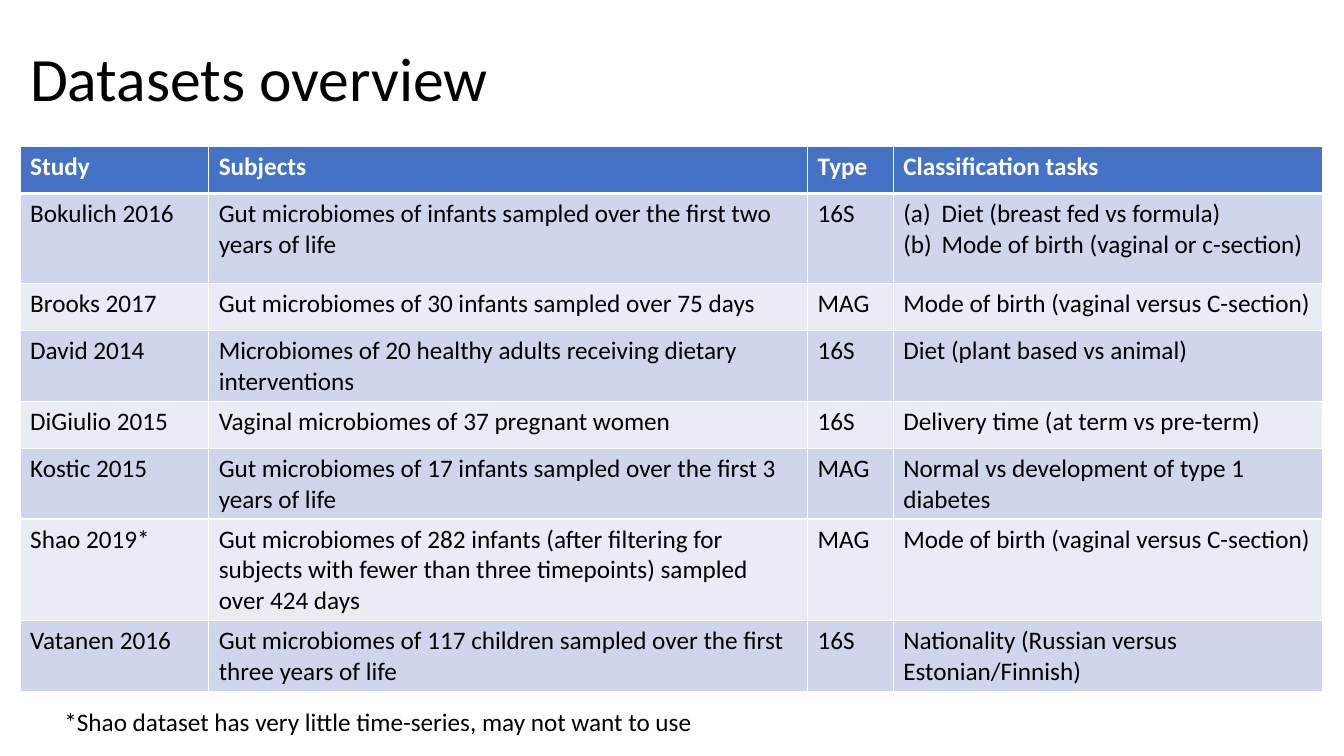
from dataclasses import dataclass

from lxml.etree import SubElement
from pptx import Presentation
from pptx.dml.color import RGBColor
from pptx.enum.text import MSO_ANCHOR
from pptx.oxml.ns import qn
from pptx.slide import Slide
from pptx.table import _Cell
from pptx.text.text import _Paragraph
from pptx.util import Emu, Pt

PX = 9144
FONT = "Calibri"
BLACK = RGBColor(0x00, 0x00, 0x00)
WHITE = RGBColor(0xFF, 0xFF, 0xFF)
HEADER_BLUE = RGBColor(0x44, 0x72, 0xC4)
BAND_DARK = RGBColor(0xCF, 0xD5, 0xEA)
BAND_LIGHT = RGBColor(0xE9, 0xEB, 0xF5)

COLUMN_WIDTHS = (187, 594, 85, 426)
LIST_INDENT = 38
THIN, THICK = Pt(1), Pt(3)


@dataclass(frozen=True)
class Dataset:
    study: str
    subjects: str
    kind: str
    tasks: tuple[str, ...]
    height: int = 47


@dataclass(frozen=True)
class Label:
    text: str
    left: int
    top: int
    width: int
    height: int
    size: int
    anchor: MSO_ANCHOR = MSO_ANCHOR.TOP
    line_spacing: float = 1.0


HEADER = Dataset("Study", "Subjects", "Type", ("Classification tasks",))
DATASETS = (
    Dataset("Bokulich 2016",
            "Gut microbiomes of infants sampled over the first two years of life",
            "16S",
            ("Diet (breast fed vs formula)", "Mode of birth (vaginal or c-section)"), 89),
    Dataset("Brooks 2017", "Gut microbiomes of 30 infants sampled over 75 days",
            "MAG", ("Mode of birth (vaginal versus C-section)",)),
    Dataset("David 2014",
            "Microbiomes of 20 healthy adults receiving dietary interventions",
            "16S", ("Diet (plant based vs animal)",), 70),
    Dataset("DiGiulio 2015", "Vaginal microbiomes of 37 pregnant women",
            "16S", ("Delivery time (at term vs pre-term)",)),
    Dataset("Kostic 2015",
            "Gut microbiomes of 17 infants sampled over the first 3 years of life",
            "MAG", ("Normal vs development of type 1 diabetes",), 70),
    Dataset("Shao 2019*",
            "Gut microbiomes of 282 infants (after filtering for subjects with fewer "
            "than three timepoints) sampled over 424 days",
            "MAG", ("Mode of birth (vaginal versus C-section)",), 101),
    Dataset("Vatanen 2016",
            "Gut microbiomes of 117 children sampled over the first three years of life",
            "16S", ("Nationality (Russian versus Estonian/Finnish)",), 70),
)
LABELS = (
    Label("Datasets overview", 20, 17, 1150, 128, 44, MSO_ANCHOR.MIDDLE, 0.9),
    Label("*Shao dataset has very little time-series, may not want to use",
          54, 696, 826, 40, 18),
)


def px(length: int) -> Emu:
    """Convert px to EMU."""
    return Emu(length * PX)


def add_text(paragraph: _Paragraph, text: str, size: int, color: RGBColor,
             bold: bool = False) -> None:
    """Add one formatted run to a paragraph."""
    run = paragraph.add_run()
    run.text = text
    run.font.name = FONT
    run.font.size = Pt(size)
    run.font.bold = bold
    run.font.color.rgb = color


def add_label(slide: Slide, label: Label) -> None:
    """Add a wrapped text box."""
    shape = slide.shapes.add_textbox(
        px(label.left), px(label.top), px(label.width), px(label.height))
    frame = shape.text_frame
    frame.word_wrap = True
    frame.vertical_anchor = label.anchor
    paragraph = frame.paragraphs[0]
    paragraph.line_spacing = label.line_spacing
    add_text(paragraph, label.text, label.size, BLACK)


def letter_item(paragraph: _Paragraph) -> None:
    """Number a paragraph as (a), (b) with a hanging indent."""
    properties = paragraph._p.get_or_add_pPr()
    properties.set("marL", str(px(LIST_INDENT)))
    properties.set("indent", str(px(-LIST_INDENT)))
    SubElement(properties, qn("a:buFont"), typeface="+mj-lt")
    SubElement(properties, qn("a:buAutoNum"), type="alphaLcParenBoth")


def set_borders(cell: _Cell, top: int, bottom: int) -> None:
    """Draw white borders around a cell, ahead of its fill."""
    properties = cell._tc.get_or_add_tcPr()
    widths = {"a:lnL": THIN, "a:lnR": THIN, "a:lnT": top, "a:lnB": bottom}
    for position, (tag, width) in enumerate(widths.items()):
        line = SubElement(properties, qn(tag), w=str(width))
        fill = SubElement(line, qn("a:solidFill"))
        SubElement(fill, qn("a:srgbClr"), val=str(WHITE))
        properties.insert(position, line)


def fill_cell(cell: _Cell, lines: tuple[str, ...], row_index: int) -> None:
    """Write and style one table cell."""
    is_header = row_index == 0
    band = BAND_DARK if row_index % 2 else BAND_LIGHT
    cell.fill.solid()
    cell.fill.fore_color.rgb = HEADER_BLUE if is_header else band
    set_borders(cell, THICK if row_index == 1 else THIN, THICK if is_header else THIN)
    frame = cell.text_frame
    for index, line in enumerate(lines):
        paragraph = frame.add_paragraph() if index else frame.paragraphs[0]
        if len(lines) > 1:
            letter_item(paragraph)
        add_text(paragraph, line, 18, WHITE if is_header else BLACK, is_header)


def add_dataset_table(slide: Slide) -> None:
    """Add the table of studies."""
    rows = (HEADER, *DATASETS)
    table = slide.shapes.add_table(
        len(rows), len(COLUMN_WIDTHS), px(20), px(145),
        px(sum(COLUMN_WIDTHS)), px(sum(row.height for row in rows))).table
    for column, width in zip(table.columns, COLUMN_WIDTHS):
        column.width = px(width)
    for row_index, row in enumerate(rows):
        table.rows[row_index].height = px(row.height)
        contents = ((row.study,), (row.subjects,), (row.kind,), row.tasks)
        for column_index, lines in enumerate(contents):
            fill_cell(table.cell(row_index, column_index), lines, row_index)


def main() -> None:
    """Build and save the slide."""
    presentation = Presentation()
    presentation.slide_width = px(1333)
    presentation.slide_height = px(750)
    slide = presentation.slides.add_slide(presentation.slide_layouts[6])
    title, footnote = LABELS
    add_label(slide, title)
    add_dataset_table(slide)
    add_label(slide, footnote)
    presentation.save("out.pptx")


if __name__ == "__main__":
    main()
